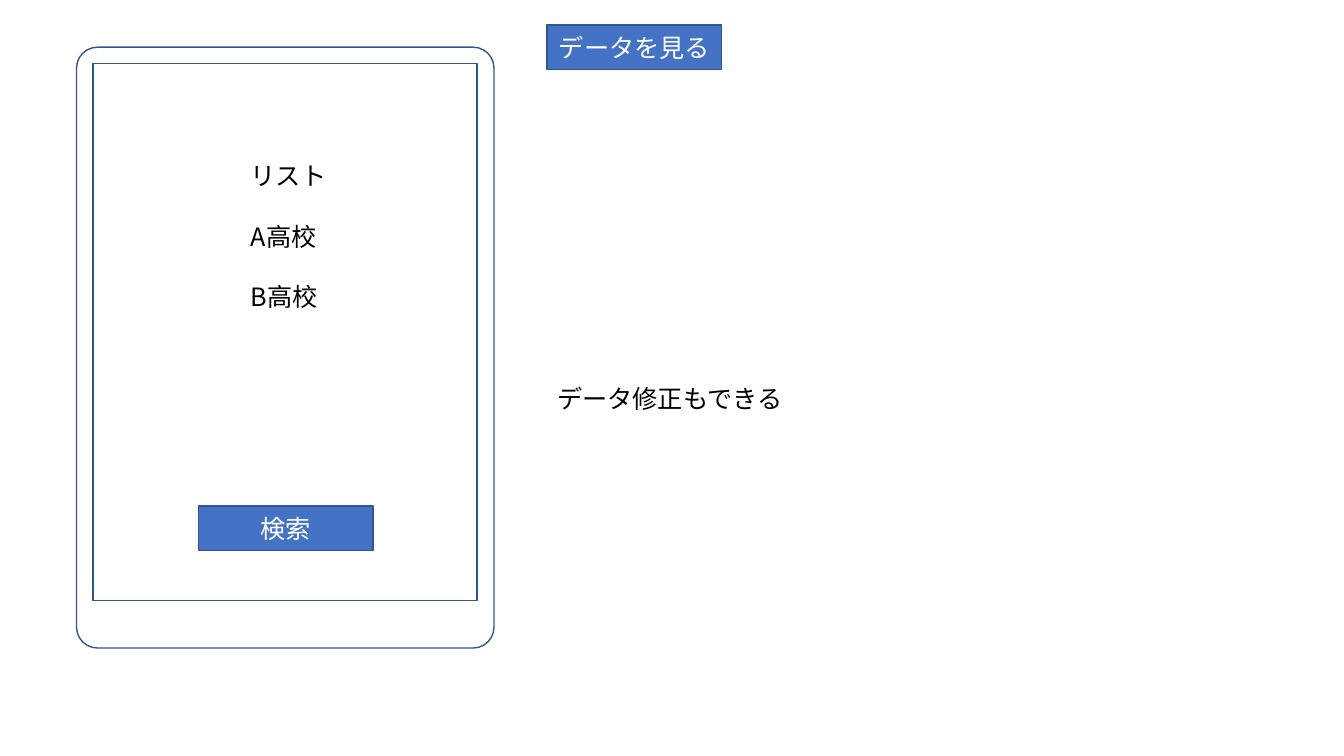
"""Builds a slide sketching a tablet search screen with its buttons and notes."""
from lxml.etree import SubElement
from pptx import Presentation
from pptx.dml.color import RGBColor
from pptx.enum.shapes import MSO_SHAPE
from pptx.enum.text import MSO_ANCHOR, PP_ALIGN
from pptx.oxml.ns import qn
from pptx.util import Cm, Pt

FONT = "Noto Sans CJK JP"
WHITE = RGBColor(0xFF, 0xFF, 0xFF)
BLACK = RGBColor(0, 0, 0)
BLUE = RGBColor(0x44, 0x72, 0xC4)
OUTLINE = RGBColor(0x32, 0x54, 0x91)

TABLET = (1.93, 1.19, 10.52, 15.14)
SCREEN = (2.34, 1.6, 9.68, 13.54)
BUTTON_SIZE = (4.4, 1.12)
BUTTONS = [("データを見る", 13.79, 0.63), ("検索", 5.0, 12.75)]
NOTES = [
    (["データ修正もできる"], 13.79, 9.53, 6.27, 1.02),
    (["リスト", "A高校", "B高校"], 6.07, 3.91, 2.44, 4.11),
]
ENTRY_GAP = Pt(21.8)


def add_panel(slide, kind, box, fill):
    panel = slide.shapes.add_shape(kind, *map(Cm, box))
    panel.shadow.inherit = False
    panel.fill.solid()
    panel.fill.fore_color.rgb = fill
    panel.line.color.rgb = OUTLINE
    panel.line.width = Pt(1)
    return panel


def style_entry(entry, color):
    for run in entry.runs:
        run.font.size = Pt(18)
        run.font.color.rgb = color
        run.font.name = FONT
        SubElement(run.font._element, qn("a:ea")).set("typeface", FONT)


def add_button(slide, label, left, top):
    button = add_panel(slide, MSO_SHAPE.RECTANGLE, (left, top, *BUTTON_SIZE), BLUE)
    frame = button.text_frame
    frame.text = label
    frame.vertical_anchor = MSO_ANCHOR.MIDDLE
    frame.paragraphs[0].alignment = PP_ALIGN.CENTER
    style_entry(frame.paragraphs[0], WHITE)


def add_note(slide, entries, *box):
    frame = slide.shapes.add_textbox(*map(Cm, box)).text_frame
    frame.word_wrap = False
    frame.text = "\n".join(entries)
    for index, entry in enumerate(frame.paragraphs):
        entry.alignment = PP_ALIGN.LEFT
        if index:
            entry.space_before = ENTRY_GAP
        style_entry(entry, BLACK)


deck = Presentation()
deck.slide_width, deck.slide_height = Cm(33.87), Cm(19.05)
slide = deck.slides.add_slide(deck.slide_layouts[6])

tablet = add_panel(slide, MSO_SHAPE.ROUNDED_RECTANGLE, TABLET, WHITE)
tablet.adjustments[0] = 0.05
add_panel(slide, MSO_SHAPE.RECTANGLE, SCREEN, WHITE)
for button in BUTTONS:
    add_button(slide, *button)
for note in NOTES:
    add_note(slide, *note)

deck.save("out.pptx")
